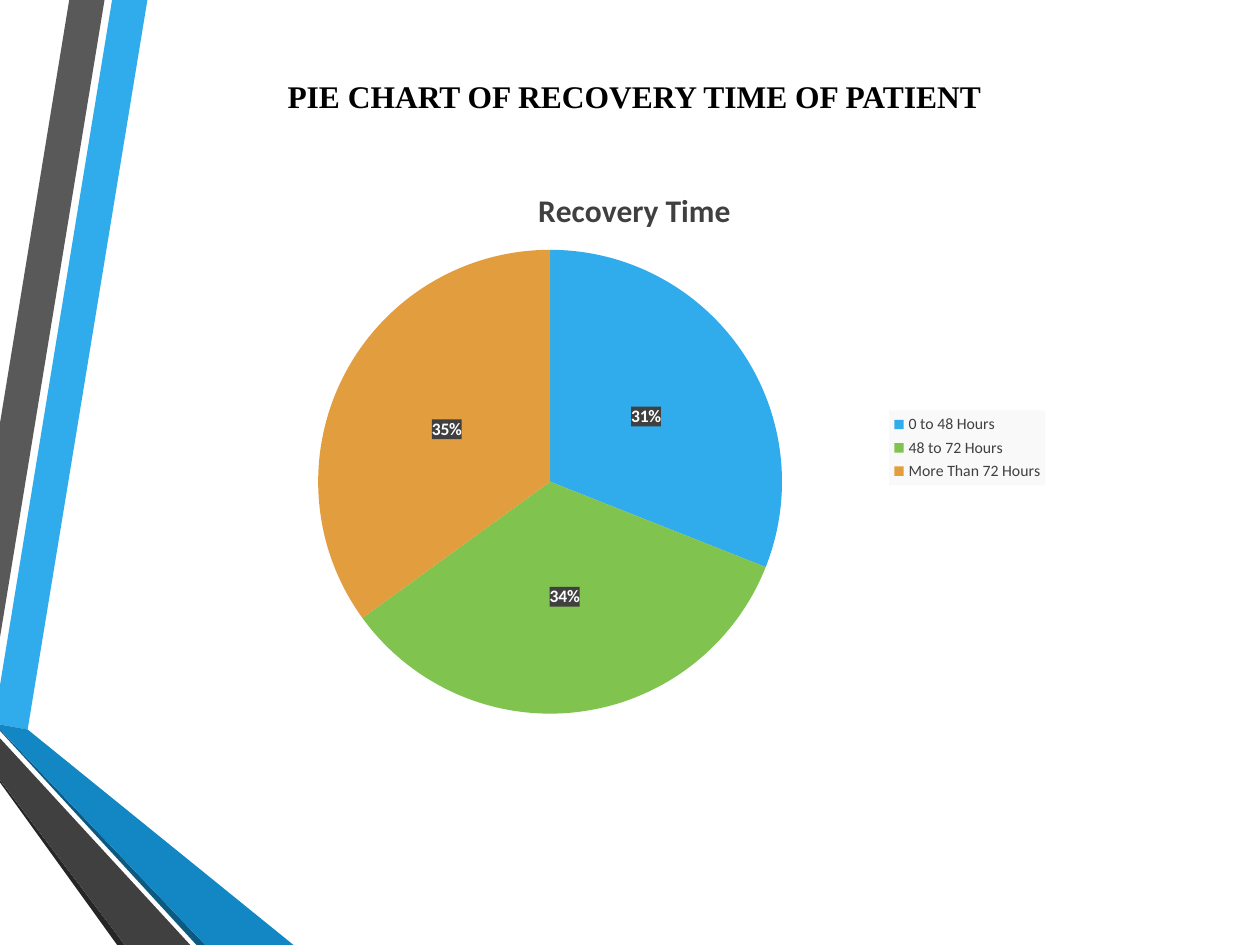
import pptx
import pptx.chart.data
import pptx.dml.color
import pptx.enum.chart
import pptx.enum.text
import pptx.oxml
import pptx.oxml.ns
import pptx.util
from dataclasses import dataclass

Inches, Pt = pptx.util.Inches, pptx.util.Pt
qn = pptx.oxml.ns.qn
NS = pptx.oxml.ns.nsdecls("c", "a")
SLIDE_W, SLIDE_H = 10, 7.5
CONTENT_LEFT, CONTENT_WIDTH = 1.69, 6.69


@dataclass(frozen=True)
class Theme:
    blue: str = "30ACEC"
    mid_blue: str = "1287C3"
    deep_blue: str = "0C5A82"
    grey: str = "595959"
    dark_grey: str = "404040"
    near_black: str = "262626"
    green: str = "80C34F"
    orange: str = "E29D3E"
    pale: str = "F2F2F2"
    black: str = "000000"
    white: str = "FFFFFF"
    title_font: str = "Times New Roman"
    chart_font: str = "Calibri"
    title_size: int = 18
    label_size: int = 10
    legend_size: int = 9


def set_all(obj, **values):
    for key, value in values.items():
        setattr(obj, key, value)


def paint(fill, color):
    fill.solid()
    fill.fore_color.rgb = pptx.dml.color.RGBColor.from_string(color)


class SlideBuilder:
    """Holds the theme and the current slide."""

    def __init__(self, prs, theme):
        self.theme = theme
        self.s = prs.slides.add_slide(prs.slide_layouts[5])

    def font(self, font, size, color, bold=False, name=None):
        set_all(font, name=name or self.theme.chart_font, size=Pt(size), bold=bold)
        font.color.rgb = pptx.dml.color.RGBColor.from_string(color)

    def ribbon(self, color, points):
        start, *rest = [(Inches(x), Inches(y)) for x, y in points]
        fb = self.s.shapes.build_freeform(*start)
        fb.add_line_segments(rest, close=True)
        sp = fb.convert_to_shape()
        sp.shadow.inherit = False
        paint(sp.fill, color)
        sp.line.fill.background()

    def title(self, text, left, top, width, height):
        t, sp = self.theme, self.s.shapes.title
        set_all(sp, left=Inches(left), top=Inches(top),
                width=Inches(width), height=Inches(height))
        tf = sp.text_frame
        tf.text = text
        set_all(tf, word_wrap=True,
                vertical_anchor=pptx.enum.text.MSO_ANCHOR.TOP,
                auto_size=pptx.enum.text.MSO_AUTO_SIZE.NONE)
        p = tf.paragraphs[0]
        set_all(p, alignment=pptx.enum.text.PP_ALIGN.CENTER, line_spacing=1.15,
                space_before=Pt(0), space_after=Pt(8))
        self.font(p.runs[0].font, t.title_size, t.black, True, t.title_font)

    def pie(self, title, slices, left, top, width, height):
        """Draw slices given as (name, value, color)."""
        t = self.theme
        names, values, colors = zip(*slices)
        data = pptx.chart.data.CategoryChartData()
        data.categories = names
        data.add_series("Series 1", values)
        chart = self.s.shapes.add_chart(
            pptx.enum.chart.XL_CHART_TYPE.PIE, Inches(left), Inches(top),
            Inches(width), Inches(height), data).chart
        self.font(chart.font, t.label_size, t.black)
        plot = chart.plots[0]
        plot.vary_by_categories = True
        for i, color in enumerate(colors):
            paint(plot.series[0].points[i].format.fill, color)
        self.chart_title(chart, title)
        self.percent_labels(chart)
        self.legend(chart)
        self.plot_layout(chart, x=0.12, y=0.15, w=0.56, h=0.82)

    def chart_title(self, chart, text):
        tf = chart.chart_title.text_frame
        tf.text = text
        self.font(tf.paragraphs[0].runs[0].font,
                  self.theme.title_size, self.theme.dark_grey, True)

    def percent_labels(self, chart):
        t, plot = self.theme, chart.plots[0]
        plot.has_data_labels = True
        labels = plot.data_labels
        set_all(labels, show_percentage=True, show_value=False,
                number_format="0%", number_format_is_linked=False,
                position=pptx.enum.chart.XL_LABEL_POSITION.CENTER)
        self.font(labels.font, t.label_size, t.white, True)
        self.backdrop(chart, "c:dLbls", t.dark_grey, 75)

    def legend(self, chart):
        t = self.theme
        chart.has_legend = True
        set_all(chart.legend, include_in_layout=False,
                position=pptx.enum.chart.XL_LEGEND_POSITION.RIGHT)
        self.font(chart.legend.font, t.legend_size, t.dark_grey)
        self.backdrop(chart, "c:legend", t.pale, 40)

    def backdrop(self, chart, tag, color, opacity):
        """Put a fill of the given percent opacity behind a chart part."""
        part = next(chart.element.iter(qn(tag)))
        part.find(qn("c:txPr")).addprevious(pptx.oxml.parse_xml(
            f'<c:spPr {NS}><a:solidFill><a:srgbClr val="{color}">'
            f'<a:alpha val="{opacity * 1000}"/></a:srgbClr></a:solidFill></c:spPr>'))

    def plot_layout(self, chart, **fractions):
        """Place the inner plot area by fractions of the chart frame."""
        area = next(chart.element.iter(qn("c:plotArea")))
        for old in area.findall(qn("c:layout")):
            area.remove(old)
        values = "".join(f'<c:{k} val="{v}"/>' for k, v in fractions.items())
        area.insert(0, pptx.oxml.parse_xml(
            f'<c:layout {NS}><c:manualLayout><c:layoutTarget val="inner"/>'
            f'<c:xMode val="edge"/><c:yMode val="edge"/>{values}'
            f'</c:manualLayout></c:layout>'))


def edge_ribbons(t):
    """Return (color, points) of the folded ribbons, from back to front."""
    blue_fold, blue_fold_left = (0.22, 5.79), (0, 5.75)
    blue_corner, blue_foot = (0, 5.79), (1.63, SLIDE_H)
    grey_corner, grey_foot = (0, 6.19), (0.99, SLIDE_H)
    return [
        (t.blue, [(0, 5.44), blue_fold_left, blue_fold, (1.17, 0), (0.89, 0)]),
        (t.grey, [(0.83, 0), (0.55, 0), (0, 3.36), (0, 5.06)]),
        (t.near_black, [grey_corner, (0, 6.21), (0.93, SLIDE_H), grey_foot]),
        (t.deep_blue, [blue_corner, (0, 5.8), (1.56, SLIDE_H), blue_foot]),
        (t.mid_blue, [blue_corner, blue_foot, (2.33, SLIDE_H),
                      blue_fold, blue_fold_left]),
        (t.dark_grey, [grey_corner, grey_foot, (1.51, SLIDE_H), (0, 5.86)]),
    ]


def main():
    prs = pptx.Presentation()
    set_all(prs, slide_width=Inches(SLIDE_W), slide_height=Inches(SLIDE_H))
    t = Theme()
    b = SlideBuilder(prs, t)
    for color, points in edge_ribbons(t):
        b.ribbon(color, points)
    b.title("PIE CHART OF RECOVERY TIME OF PATIENT",
            CONTENT_LEFT, 0.52, CONTENT_WIDTH, 0.43)
    recovery_times = [("0 to 48 Hours", 31, t.blue),
                      ("48 to 72 Hours", 34, t.green),
                      ("More Than 72 Hours", 35, t.orange)]
    b.pie("Recovery Time", recovery_times,
          CONTENT_LEFT, 1.31, CONTENT_WIDTH, 4.49)
    prs.save("out.pptx")


if __name__ == "__main__":
    main()
